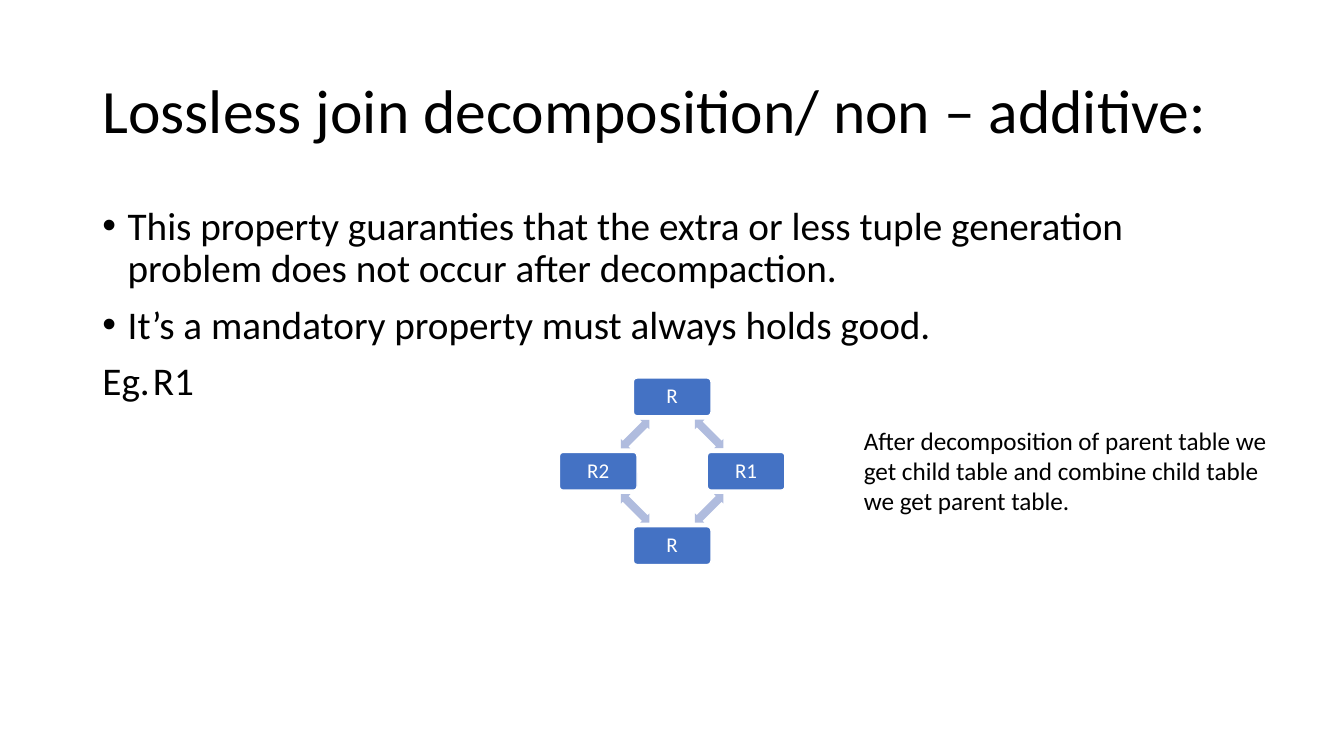
import math
import pptx
import pptx.util
import pptx.dml.color
import pptx.enum.shapes
import pptx.enum.text
import pptx.oxml

CELL = pptx.util.Inches(1 / 12)
COLS, ROWS = 160, 90
NODE = (9.24, 4.5)
ARROW = (4.8, 1.58)
BLUE, PALE, WHITE, BLACK = "4472C4", "B0BCDE", "FFFFFF", "000000"
KIND = pptx.enum.shapes.MSO_SHAPE
ALIGN = pptx.enum.text.PP_ALIGN
ANCHOR = pptx.enum.text.MSO_ANCHOR


def grid(*cells):
    return [round(cell * CELL) for cell in cells]


def color(code):
    return pptx.dml.color.RGBColor.from_string(code)


def place(shape, box):
    shape.left, shape.top, shape.width, shape.height = grid(*box)


def write(para, text, size=18, code=BLACK, align=ALIGN.LEFT, lead=1.0, before=0):
    para.text = text
    para.alignment = align
    para.line_spacing = lead
    para.space_before = pptx.util.Pt(before)
    para.space_after = pptx.util.Pt(0)
    para.font.size = pptx.util.Pt(size)
    para.font.name = "Calibri"
    para.font.color.rgb = color(code)


def mark(para, bullet):
    props = para._p.get_or_add_pPr()
    dent = grid(3)[0] if bullet else 0
    props.set("marL", str(dent))
    props.set("indent", str(-dent))
    space = 'xmlns:a="http://schemas.openxmlformats.org/drawingml/2006/main"'
    if bullet:
        parts = [f'<a:buFont {space} typeface="Arial"/>', f'<a:buChar {space} char="•"/>']
    else:
        stop = grid(12)[0]
        parts = [f"<a:buNone {space}/>",
                 f'<a:tabLst {space}><a:tab pos="{stop}" algn="l"/></a:tabLst>']
    for part in parts:
        props.append(pptx.oxml.parse_xml(part))


def title(slide, box):
    shape = slide.shapes.title
    place(shape, box)
    frame = shape.text_frame
    frame.auto_size = pptx.enum.text.MSO_AUTO_SIZE.NONE
    frame.vertical_anchor = ANCHOR.MIDDLE
    write(frame.paragraphs[0], "Lossless join decomposition/ non – additive:",
          size=44, lead=0.9)


def body(slide, box):
    shape = slide.placeholders[1]
    place(shape, box)
    frame = shape.text_frame
    frame.auto_size = pptx.enum.text.MSO_AUTO_SIZE.NONE
    lines = [
        ("This property guaranties that the extra or less tuple generation "
         "problem does not occur after decompaction.", True),
        ("It’s a mandatory property must always holds good.", True),
        ("Eg.\tR1", False),
    ]
    for i, (text, bullet) in enumerate(lines):
        para = frame.add_paragraph() if i else frame.paragraphs[0]
        mark(para, bullet)
        write(para, text, size=28, lead=0.9, before=10 if i else 0)


def block(group, kind, mid, size, fill):
    left, top = mid[0] - size[0] / 2, mid[1] - size[1] / 2
    shape = group.shapes.add_shape(kind, *grid(left, top, *size))
    shape.shadow.inherit = False
    shape.fill.solid()
    shape.fill.fore_color.rgb = color(fill)
    shape.line.fill.background()
    return shape


def node(group, mid, text):
    shape = block(group, KIND.ROUNDED_RECTANGLE, mid, NODE, BLUE)
    shape.adjustments[0] = 0.1
    shape.line.color.rgb = color(WHITE)
    shape.line.width = pptx.util.Pt(1)
    frame = shape.text_frame
    frame.word_wrap = True
    frame.vertical_anchor = ANCHOR.MIDDLE
    pad = pptx.util.Inches(0.07)
    frame.margin_left = frame.margin_right = pad
    frame.margin_top = frame.margin_bottom = pad
    write(frame.paragraphs[0], text, size=15, code=WHITE,
          align=ALIGN.CENTER, lead=0.9)


def arrow(group, mid, turn):
    shape = block(group, KIND.LEFT_RIGHT_ARROW, mid, ARROW, PALE)
    shape.adjustments[0] = 0.6
    shape.adjustments[1] = 0.5
    shape.rotation = turn


def ring(slide, box):
    left, top, width, height = box
    mid = (left + width / 2, top + height / 2)
    reach = ((width - NODE[0]) / 2, (height - NODE[1]) / 2)
    group = slide.shapes.add_group_shape()

    def spot(turn, share):
        angle = math.radians(turn)
        return (mid[0] + reach[0] * share * math.sin(angle),
                mid[1] - reach[1] * share * math.cos(angle))

    for i, text in enumerate(["R", "R1", "R", "R2"]):
        turn = 90 * i
        node(group, spot(turn, 1), text)
        arrow(group, spot(turn + 45, math.sqrt(0.5)), turn + 45)


def note(slide, box):
    frame = slide.shapes.add_textbox(*grid(*box)).text_frame
    frame.word_wrap = True
    write(frame.paragraphs[0], "After decomposition of parent table we get child "
          "table and combine child table we get parent table.")


def main():
    deck = pptx.Presentation()
    deck.slide_width, deck.slide_height = grid(COLS, ROWS)
    slide = deck.slides.add_slide(deck.slide_layouts[1])
    title(slide, (11, 4.8, 138, 17.4))
    body(slide, (11, 24, 138, 57.1))
    ring(slide, (66.6, 45, 26.85, 22.2))
    note(slide, (101.65, 50, 52.2, 12.12))
    deck.save("out.pptx")


if __name__ == "__main__":
    main()
